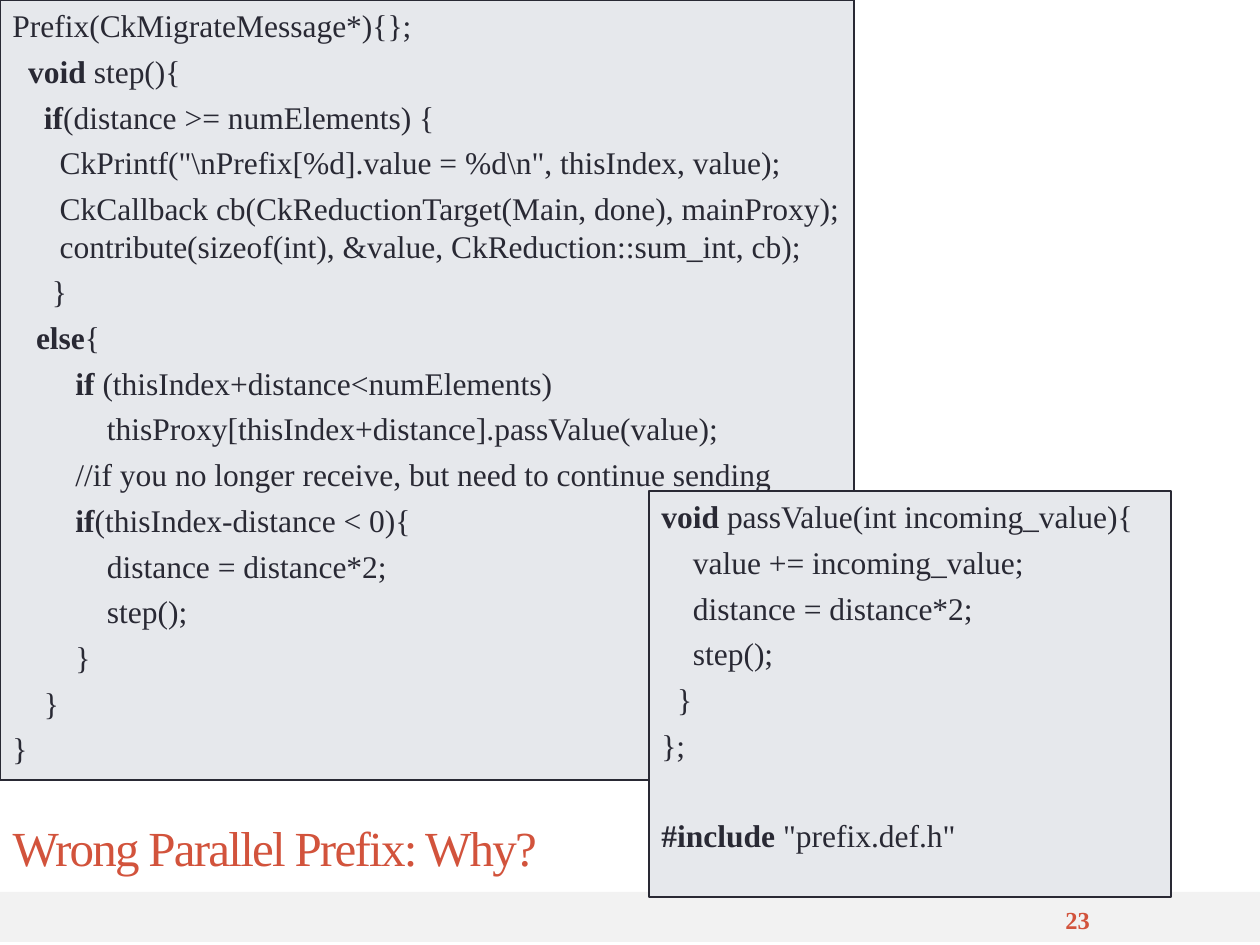
import pptx
import pptx.util
from pptx.dml.color import RGBColor
from pptx.enum.shapes import MSO_SHAPE
from pptx.enum.text import MSO_ANCHOR, MSO_AUTO_SIZE, PP_ALIGN

PX = 914400 // 126
FONT = "Times New Roman"
COLORS = {"ink": "292934", "accent": "D2533C", "panel": "E6E8EC", "footer": "F2F2F2"}
CODE_SIZE = 18
COLUMN = CODE_SIZE / 4  # width of one character column of indent, in points
LINE_GAP = 4.5
SECTION_GAP = 30

TITLE = "Wrong Parallel Prefix: Why?"
PAGE_NUMBER = "23"

# Each line: indent in columns, bold keyword, remaining code
STEP_CODE = [
    (0, "", "Prefix(CkMigrateMessage*){};"),
    (2, "void", " step(){"),
    (4, "if", "(distance >= numElements) {"),
    (6, "", r'CkPrintf("\nPrefix[%d].value = %d\n", thisIndex, value);'),
    (6, "", "CkCallback cb(CkReductionTarget(Main, done), mainProxy);\n"
            "contribute(sizeof(int), &value, CkReduction::sum_int, cb);"),
    (5, "", "}"),
    (3, "else", "{"),
    (8, "if ", "(thisIndex+distance<numElements)"),
    (12, "", "thisProxy[thisIndex+distance].passValue(value);"),
    (8, "", "//if you no longer receive, but need to continue sending"),
    (8, "if", "(thisIndex-distance < 0){"),
    (12, "", "distance = distance*2;"),
    (12, "", "step();"),
    (8, "", "}"),
    (4, "", "}"),
    (0, "", "}"),
]
PASS_VALUE_CODE = [
    (0, "void ", "passValue(int incoming_value){"),
    (4, "", "value += incoming_value;"),
    (4, "", "distance = distance*2;"),
    (4, "", "step();"),
    (2, "", "}"),
    (0, "", "};"),
    (0, "#include", ' "prefix.def.h"'),
]
PANELS = [
    ((0, 0, 854, 780), STEP_CODE),
    ((649, 491, 522, 406), PASS_VALUE_CODE),
]


def color(name):
    return RGBColor.from_string(COLORS[name])


def scaled(area):
    return [value * PX for value in area]


def add_span(para, text, size, ink, bold=False):
    span = para.add_run()
    span.text = text
    span.font.name = FONT
    span.font.size = pptx.util.Pt(size)
    span.font.bold = bold
    span.font.color.rgb = color(ink)
    return span


def add_panel(page, area, fill, outline=None):
    panel = page.shapes.add_shape(MSO_SHAPE.RECTANGLE, *scaled(area))
    panel.shadow.inherit = False
    panel.fill.solid()
    panel.fill.fore_color.rgb = color(fill)
    if outline:
        panel.line.color.rgb = color(outline)
        panel.line.width = pptx.util.Pt(0.75)
    else:
        panel.line.fill.background()
    return panel


def add_code(panel, lines):
    frame = panel.text_frame
    frame.word_wrap = True
    frame.vertical_anchor = MSO_ANCHOR.TOP
    for index, (indent, keyword, rest) in enumerate(lines):
        para = frame.add_paragraph() if index else frame.paragraphs[0]
        para.alignment = PP_ALIGN.LEFT
        gap = SECTION_GAP if keyword == "#include" else LINE_GAP
        para.space_before = pptx.util.Pt(gap)
        para._p.get_or_add_pPr().set("marL", str(pptx.util.Pt(indent * COLUMN)))
        if keyword:
            add_span(para, keyword, CODE_SIZE, "ink", bold=True)
        for number, piece in enumerate(rest.split("\n")):
            if number:
                para.add_line_break()
            add_span(para, piece, CODE_SIZE, "ink")


def set_title(page):
    title = page.shapes.title
    title.left, title.top, title.width, title.height = scaled((0, 806, 711, 82))
    frame = title.text_frame
    frame.auto_size = MSO_AUTO_SIZE.NONE
    frame.vertical_anchor = MSO_ANCHOR.MIDDLE
    para = frame.paragraphs[0]
    para.alignment = PP_ALIGN.LEFT
    span = add_span(para, TITLE, 28, "accent")
    span.font._element.set("spc", "-100")


def add_page_number(page):
    box = page.shapes.add_textbox(*scaled((1053, 897, 170, 45)))
    box.text_frame.word_wrap = True
    box.text_frame.vertical_anchor = MSO_ANCHOR.MIDDLE
    add_span(box.text_frame.paragraphs[0], PAGE_NUMBER, 14, "accent", bold=True)


def main():
    deck = pptx.Presentation()
    deck.slide_width, deck.slide_height = scaled((1260, 945))
    page = deck.slides.add_slide(deck.slide_layouts[5])
    set_title(page)
    add_panel(page, (0, 892, 1260, 50), "footer")
    add_page_number(page)
    for area, lines in PANELS:
        add_code(add_panel(page, area, "panel", "ink"), lines)
    deck.save("out.pptx")


if __name__ == "__main__":
    main()
